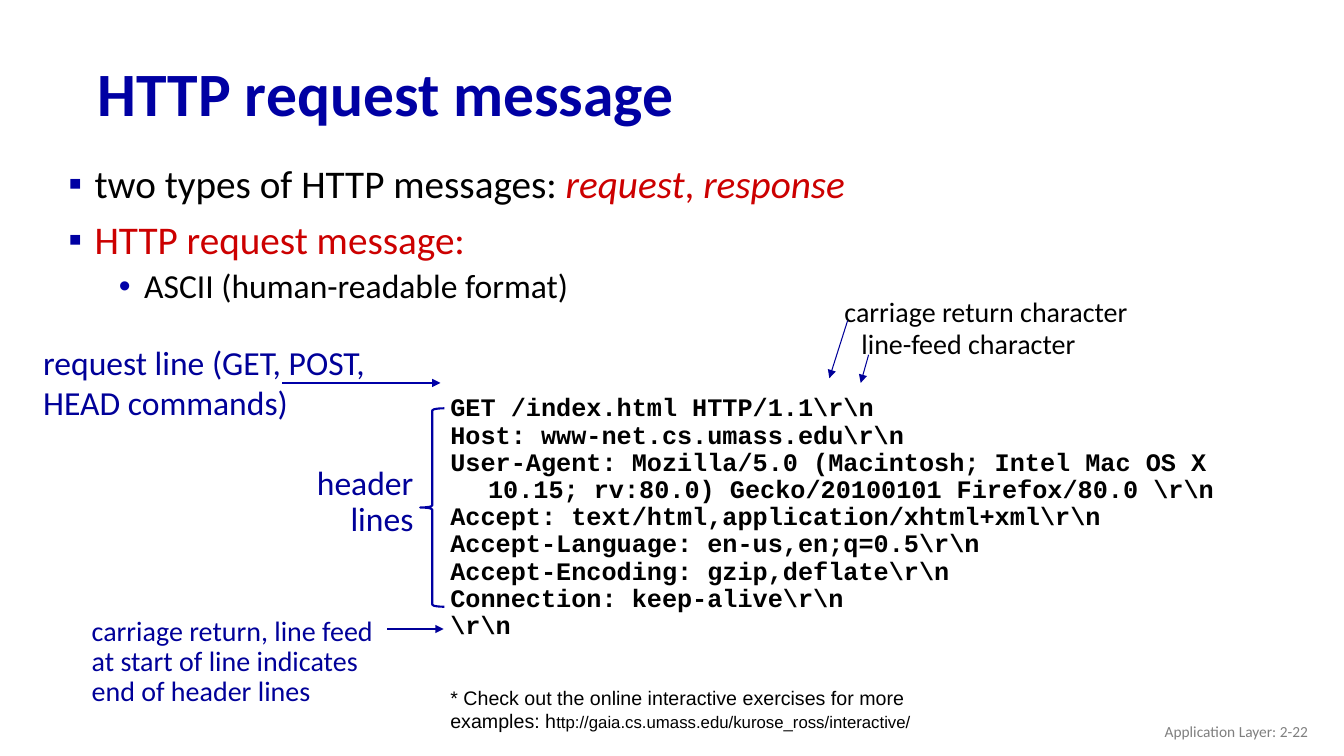
import pptx
import pptx.util
import pptx.dml.color
import pptx.enum.text
import pptx.enum.shapes
import lxml.etree
from dataclasses import dataclass

Cm = pptx.util.Cm
Pt = pptx.util.Pt
Align = pptx.enum.text.PP_ALIGN
Anchor = pptx.enum.text.MSO_ANCHOR
Shape = pptx.enum.shapes.MSO_SHAPE
Line = pptx.enum.shapes.MSO_CONNECTOR
A = "{http://schemas.openxmlformats.org/drawingml/2006/main}"


@dataclass(frozen=True)
class Theme:
    navy: str = "0000A3"
    blue: str = "000099"
    royal: str = "0000A8"
    red: str = "CC0000"
    black: str = "000000"
    gray: str = "7F7F7F"
    sans: str = "Calibri"
    mono: str = "Courier New"
    plain: str = "Arial"
    title: int = 44
    body: int = 28
    label: int = 24
    note: int = 20
    code: int = 18
    foot: int = 14
    link: int = 12
    page: int = 11


theme = Theme()


def rgb(color):
    return pptx.dml.color.RGBColor.from_string(color)


def style(font, size, color, face=theme.sans, bold=False):
    font.size = Pt(size)
    font.name = face
    font.bold = bold
    font.color.rgb = rgb(color)


def place(shape, box):
    shape.left, shape.top, shape.width, shape.height = map(Cm, box)


def indent(para, left, hang):
    props = para._p.get_or_add_pPr()
    props.set("marL", str(Cm(left)))
    props.set("indent", str(-Cm(hang)))
    return props


def bullet(para, mark, color, left, hang):
    props = indent(para, left, hang)
    tint = lxml.etree.SubElement(props, A + "buClr")
    lxml.etree.SubElement(tint, A + "srgbClr", val=color)
    lxml.etree.SubElement(props, A + "buFont", typeface=theme.plain)
    lxml.etree.SubElement(props, A + "buChar", char=mark)


def text(slide, box, lines, size, color, face=theme.sans, bold=False,
         align=Align.LEFT, space=1.0, hang=0):
    shape = slide.shapes.add_textbox(*map(Cm, box))
    frame = shape.text_frame
    frame.word_wrap = True
    frame.text = "\n".join(lines)
    for para in frame.paragraphs:
        para.alignment = align
        para.line_spacing = space
        if hang:
            indent(para, hang, hang)
        style(para.font, size, color, face, bold)
    return frame


def arrow(slide, start, end, color, width):
    line = slide.shapes.add_connector(
        Line.STRAIGHT, *map(Cm, (*start, *end)))
    line.line.color.rgb = rgb(color)
    line.line.width = Pt(width)
    lxml.etree.SubElement(line.line._get_or_add_ln(), A + "tailEnd", type="triangle")
    lxml.etree.SubElement(line._element.spPr, A + "effectLst")


def heading(slide, box):
    shape = slide.shapes.title
    place(shape, box)
    frame = shape.text_frame
    frame.text = "HTTP request message"
    frame.auto_size = pptx.enum.text.MSO_AUTO_SIZE.NONE
    frame.vertical_anchor = Anchor.MIDDLE
    para = frame.paragraphs[0]
    para.alignment = Align.LEFT
    para.line_spacing = 0.9
    style(para.font, theme.title, theme.navy, bold=True)


def points(slide, box):
    shape = slide.placeholders[1]
    place(shape, box)
    frame = shape.text_frame
    frame.auto_size = pptx.enum.text.MSO_AUTO_SIZE.NONE
    frame.text = "\n".join((
        "two types of HTTP messages: ",
        "HTTP request message:",
        "ASCII (human-readable format)"))
    types, request, ascii = frame.paragraphs
    ascii.level = 1
    bullet(types, "▪", theme.navy, 0.66, 0.66)
    bullet(request, "▪", theme.navy, 0.66, 0.66)
    bullet(ascii, "•", theme.royal, 1.91, 0.64)
    for para, size, color, gap in (
            (types, theme.body, theme.black, 0),
            (request, theme.body, theme.red, 10),
            (ascii, theme.label, theme.black, 5)):
        para.line_spacing = 0.9
        para.space_before = Pt(gap)
        style(para.font, size, color)
    for word in ("request", ", ", "response"):
        run = types.add_run()
        run.text = word
        run.font.color.rgb = rgb(theme.red)
        run.font.italic = word != ", "


def message(slide, box):
    left, top, width, height = box
    text(slide, box, (
        r"GET /index.html HTTP/1.1\r\n",
        r"Host: www-net.cs.umass.edu\r\n",
        r"User-Agent: Mozilla/5.0 (Macintosh; Intel Mac OS X 10.15; "
        r"rv:80.0) Gecko/20100101 Firefox/80.0 \r\n",
        r"Accept: text/html,application/xhtml+xml\r\n",
        r"Accept-Language: en-us,en;q=0.5\r\n",
        r"Accept-Encoding: gzip,deflate\r\n",
        r"Connection: keep-alive\r\n",
        r"\r\n"), theme.code, theme.black, theme.mono, True,
        space=0.9, hang=0.95)
    text(slide, (left - 3.4, top + 1.8, 2.97, 2.11), ("header", "lines"),
         theme.label, theme.blue, align=Align.RIGHT, space=0.9)
    brace = slide.shapes.add_shape(
        Shape.LEFT_BRACE, *map(Cm, (left - 0.51, top + 0.46, 0.61, 5)))
    brace.shadow.inherit = False
    brace.fill.background()
    brace.line.color.rgb = rgb(theme.navy)
    brace.line.width = Pt(1.5)


def marks(slide, box):
    left, top, width, height = box
    text(slide, (left, top, width, 1.12), ("carriage return character",),
         theme.note, theme.black, hang=0.95)
    text(slide, (left + 0.43, top + 0.81, 5.97, 1.12),
         ("line-feed character",), theme.note, theme.black, hang=0.95)
    arrow(slide, (left + 0.33, top + 0.79), (left - 0.13, top + 2.24),
          theme.blue, 0.75)
    arrow(slide, (left + 0.86, top + 1.65), (left + 0.66, top + 2.36),
          theme.blue, 0.75)


def command(slide, box):
    left, top, width, height = box
    text(slide, box, ("request line (GET, POST,", "HEAD commands)"),
         theme.label, theme.blue)
    arrow(slide, (left + 6.27, top + 1.17), (left + 10.26, top + 1.17),
          theme.royal, 1.5)


def ending(slide, box):
    left, top, width, height = box
    text(slide, box, ("carriage return, line feed at start of line "
                      "indicates end of header lines",),
         theme.note, theme.blue, space=0.9)
    arrow(slide, (left + width, top + 0.43), (left + width + 1.42, top + 0.43),
          theme.blue, 1.5)


def source(slide, box):
    frame = text(slide, box, (
        "* Check out the online interactive exercises for more examples: h",),
        theme.foot, theme.black, theme.plain)
    run = frame.paragraphs[0].add_run()
    run.text = "ttp://gaia.cs.umass.edu/kurose_ross/interactive/"
    run.font.size = Pt(theme.link)


def footer(slide, box):
    frame = text(slide, box, ("Application Layer: 2-22",), theme.page,
                 theme.gray, align=Align.RIGHT)
    frame.vertical_anchor = Anchor.MIDDLE


def main():
    deck = pptx.Presentation()
    deck.slide_width, deck.slide_height = Cm(33.87), Cm(19.05)
    slide = deck.slides.add_slide(deck.slide_layouts[1])
    heading(slide, (2.21, 1.19, 29.21, 2.49))
    points(slide, (1.47, 4.01, 32.39, 3.96))
    message(slide, (11.1, 9.83, 22, 6.5))
    marks(slide, (21.03, 7.29, 7.72, 2.36))
    command(slide, (0.84, 8.48, 8.79, 2.31))
    ending(slide, (2.06, 15.42, 7.7, 2.57))
    source(slide, (11.1, 17.15, 12.52, 1.45))
    footer(slide, (25.6, 17.91, 7.62, 1.02))
    deck.save("out.pptx")


if __name__ == "__main__":
    main()
